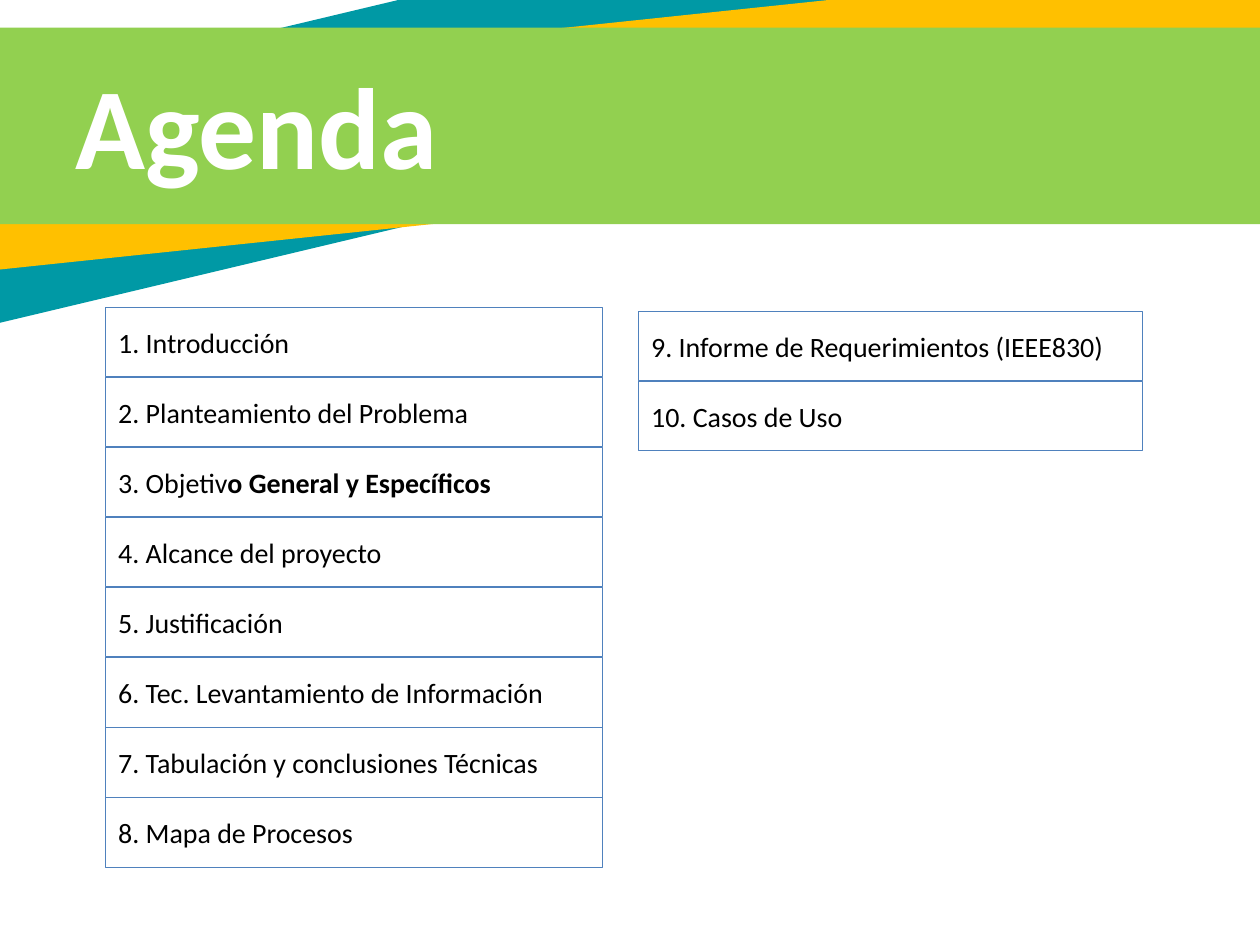
from pptx import Presentation
from pptx import util as u
from pptx.dml.color import RGBColor
from pptx.enum import shapes, text

COLS, ROWS = 100, 75  # grid units across and down the slide


def color(code):
    return RGBColor.from_string(code)


def write(frame, *runs, size=16, ink="000000", font="Calibri"):
    """Fill a frame with one left-aligned line of (words, bold) runs."""
    frame.word_wrap = True
    frame.vertical_anchor = text.MSO_ANCHOR.MIDDLE
    line = frame.paragraphs[0]
    line.alignment = text.PP_ALIGN.LEFT
    for words, bold in runs:
        run = line.add_run()
        run.text = words
        run.font.name = font
        run.font.size = u.Pt(size)
        run.font.bold = bold
        run.font.color.rgb = color(ink)


class Deck:
    edge = "4F81BD"

    def __init__(self):
        self.prs = Presentation()
        self.prs.slide_width = u.Inches(10)
        self.prs.slide_height = u.Inches(7.5)
        self.slide = self.prs.slides.add_slide(self.prs.slide_layouts[6])

    def place(self, left, top, wide, high):
        dx = self.prs.slide_width / COLS
        dy = self.prs.slide_height / ROWS
        return [round(v) for v in (left * dx, top * dy, wide * dx, high * dy)]

    def rect(self, *area):
        box = self.slide.shapes.add_shape(
            shapes.MSO_SHAPE.RECTANGLE, *self.place(*area))
        box.shadow.inherit = False
        return box

    def band(self, *area, fill, turn=0):
        box = self.rect(*area)
        box.rotation = turn
        box.fill.solid()
        box.fill.fore_color.rgb = color(fill)
        box.line.fill.background()

    def title(self, words, *area):
        box = self.slide.shapes.add_textbox(*self.place(*area))
        write(box.text_frame, (words, True), size=66, ink="FFFFFF")

    def item(self, runs, *area):
        box = self.rect(*area)
        box.fill.background()
        box.line.color.rgb = color(self.edge)
        box.line.width = u.Pt(0.5)
        write(box.text_frame, *runs)

    def stack(self, items, left, top, wide, high=5.5, step=5.56):
        for row, runs in enumerate(items):
            self.item(runs, left, top + row * step, wide, high)


def main():
    deck = Deck()

    # Header bands, back to front
    deck.band(-25.1, -1.8, 130.6, 17.6, fill="0099A5", turn=346.6)
    deck.band(-11, 2, 116.3, 14.4, fill="FFC000", turn=354)
    deck.band(-10.6, 2.2, 116.3, 15.6, fill="92D050")
    deck.title("Agenda", 5, 4.9, 65.8, 9.7)

    # Agenda items in two columns
    first = [
        [("1. Introducción", False)],
        [("2. Planteamiento del Problema", False)],
        [("3. Objetiv", False), ("o General y Específicos", True)],
        [("4. Alcance del proyecto", False)],
        [("5. Justificación", False)],
        [("6. Tec. Levantamiento de Información", False)],
        [("7. Tabulación y conclusiones Técnicas", False)],
        [("8. Mapa de Procesos", False)],
    ]
    second = [
        [("9. Informe de Requerimientos (IEEE830)", False)],
        [("10. Casos de Uso", False)],
    ]
    deck.stack(first, 8.4, 24.4, 39.4)
    deck.stack(second, 50.7, 24.7, 40)

    deck.prs.save("out.pptx")


if __name__ == "__main__":
    main()
